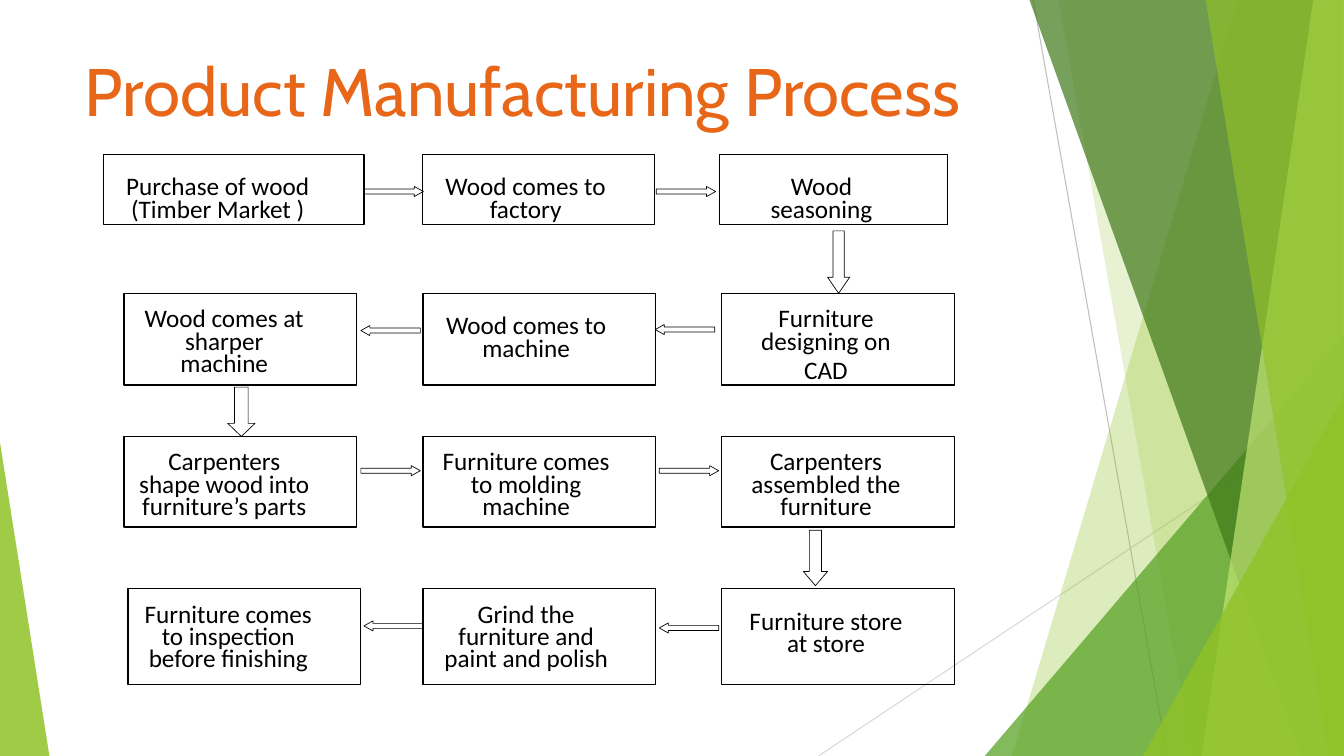
from typing import NamedTuple

from lxml import etree
from pptx import Presentation
from pptx.dml.color import RGBColor
from pptx.enum.shapes import MSO_CONNECTOR, MSO_SHAPE
from pptx.enum.text import MSO_ANCHOR, PP_ALIGN
from pptx.oxml.ns import qn
from pptx.util import Inches, Pt

RECT = MSO_SHAPE.RECTANGLE
PEAK = MSO_SHAPE.ISOSCELES_TRIANGLE
RIGHT = MSO_SHAPE.RIGHT_ARROW
LEFT = MSO_SHAPE.LEFT_ARROW
DOWN = MSO_SHAPE.DOWN_ARROW
LINE = MSO_CONNECTOR.STRAIGHT
TOP = MSO_ANCHOR.TOP
MID = PP_ALIGN.CENTER

CELL = Inches(0.01)
COLS, ROWS = 1333, 750
BLACK, LIME = "000000", "90C226"
WIDE = 231
TOPS = (153, 291, 433, 584)
HIGHS = (70, 91, 90, 95)
SHIFTS = (16, 13, 12)


class Ray(NamedTuple):
    start: tuple[int, int]
    end: tuple[int, int]
    color: str


class Facet(NamedTuple):
    points: list[tuple[int, int]]
    color: str
    alpha: int


class Wedge(NamedTuple):
    col: int
    row: int
    wide: int
    high: int
    peak: int
    color: str
    alpha: int


class Step(NamedTuple):
    col: int
    row: int
    lines: list[str]
    move: int = 0
    wide: int = WIDE
    gap: int = 0


class Arrow(NamedTuple):
    kind: MSO_SHAPE
    col: int
    row: int
    wide: int = 59
    high: int = 10
    head: int = 9


RAYS = [
    Ray((1025, 0), (1158, ROWS), "BFBFBF"),
    Ray((COLS, 403), (812, ROWS), "D9D9D9"),
]


def facet(top: int, low: int, color: str, alpha: int) -> Facet:
    return Facet([(top, -1), (COLS, -1), (COLS, ROWS), (low, ROWS)], color, alpha)


DECOR = [
    facet(1228, 1004, LIME, 30),
    facet(1050, 1183, LIME, 20),
    Wedge(977, 333, 356, 417, 1, "54A021", 72),
    facet(1021, 1291, "3F7819", 70),
    facet(1303, 1192, "C0E474", 70),
    facet(1196, 1318, LIME, 65),
    Wedge(1134, 393, 199, 357, 1, LIME, 80),
    Wedge(0, 439, 49, 311, 0, LIME, 85),
]

STEPS = [
    Step(0, 0, ["Purchase of wood", "(Timber Market )"], -20, 258),
    Step(1, 0, ["Wood comes to", "factory"], 0, 230),
    Step(2, 0, ["Wood", "seasoning"], -2, 226),
    Step(2, 1, ["Furniture", "designing on", "CAD"], gap=5),
    Step(1, 1, ["Wood comes to", "machine"]),
    Step(0, 1, ["Wood comes at", "sharper", "machine"]),
    Step(0, 2, ["Carpenters", "shape wood into", "furniture’s parts"]),
    Step(1, 2, ["Furniture comes", "to molding", "machine"]),
    Step(2, 2, ["Carpenters", "assembled the", "furniture"]),
    Step(2, 3, ["Furniture store", "at store"]),
    Step(1, 3, ["Grind the", "furniture and", "paint and polish"]),
    Step(0, 3, ["Furniture comes", "to inspection", "before finishing"], 4),
]

ARROWS = [
    Arrow(RIGHT, 361, 185),
    Arrow(RIGHT, 651, 185),
    Arrow(DOWN, 821, 229, 22, 62, 16),
    Arrow(LEFT, 650, 322),
    Arrow(LEFT, 358, 323),
    Arrow(DOWN, 226, 384, 27, 49, 13),
    Arrow(RIGHT, 358, 462),
    Arrow(RIGHT, 654, 462),
    Arrow(DOWN, 797, 526, 24, 55, 14),
    Arrow(LEFT, 654, 618),
    Arrow(LEFT, 361, 616),
]


def cells(*spans: float) -> list[int]:
    return [round(span * CELL) for span in spans]


def paint(target, color: str) -> None:
    target.solid()
    target.fore_color.rgb = RGBColor.from_string(color)


def outline(shape, width: float) -> None:
    shape.shadow.inherit = False
    shape.fill.background()
    paint(shape.line.fill, BLACK)
    shape.line.width = Pt(width)


def draw_ray(shapes, ray: Ray) -> None:
    line = shapes.add_connector(LINE, *cells(*ray.start, *ray.end))
    paint(line.line.fill, ray.color)
    line.line.width = Pt(0.75)
    etree.SubElement(line._element.spPr, qn("a:effectLst"))


def draw_decor(shapes, item: Facet | Wedge) -> None:
    if isinstance(item, Wedge):
        shape = shapes.add_shape(PEAK, *cells(*item[:4]))
        shape.adjustments[0] = item.peak
    else:
        form = shapes.build_freeform(*item.points[0], scale=CELL)
        form.add_line_segments(item.points[1:])
        shape = form.convert_to_shape()
    shape.shadow.inherit = False
    paint(shape.fill, item.color)
    shape.line.fill.background()
    tint = next(shape._element.spPr.iter(qn("a:srgbClr")))
    etree.SubElement(tint, qn("a:alpha"), val=str(item.alpha * 1000))


def draw_title(shapes, text: str) -> None:
    box = shapes.add_textbox(*cells(74, 44, 940, 139))
    box.text_frame.word_wrap = True
    line = box.text_frame.paragraphs[0]
    line.text = text
    line.font.name = "Cabin"
    line.font.size = Pt(48)
    paint(line.font.fill, "E76618")


def draw_step(shapes, step: Step) -> None:
    left = 123 + 296.5 * step.col + step.move
    spot = cells(left, TOPS[step.row], step.wide, HIGHS[step.row])
    box = shapes.add_shape(RECT, *spot)
    outline(box, 0.96)
    frame = box.text_frame
    frame.word_wrap = True
    frame.vertical_anchor = TOP
    frame.margin_left = frame.margin_bottom = 0
    frame.margin_right = 2 * SHIFTS[step.col] * CELL
    frame.margin_top = (24 if len(step.lines) == 2 else 17) * CELL
    for rank, text in enumerate(step.lines):
        line = frame.add_paragraph() if rank else frame.paragraphs[0]
        line.text = text
        line.alignment = MID
        line.line_spacing = Pt(16)
        line.font.name = "Calibri"
        line.font.size = Pt(18)
        paint(line.font.fill, BLACK)
    if step.gap:
        line.space_before = Pt(step.gap)


def draw_arrow(shapes, arrow: Arrow) -> None:
    shape = shapes.add_shape(arrow.kind, *cells(*arrow[1:5]))
    shape.adjustments[0] = 0.5
    shape.adjustments[1] = arrow.head / min(arrow.wide, arrow.high)
    outline(shape, 0.48)


def main() -> None:
    deck = Presentation()
    deck.slide_width, deck.slide_height = Inches(40 / 3), Inches(7.5)
    shapes = deck.slides.add_slide(deck.slide_layouts[6]).shapes
    for ray in RAYS:
        draw_ray(shapes, ray)
    for item in DECOR:
        draw_decor(shapes, item)
    draw_title(shapes, "Product Manufacturing Process")
    for step in STEPS:
        draw_step(shapes, step)
    for arrow in ARROWS:
        draw_arrow(shapes, arrow)
    deck.save("out.pptx")


if __name__ == "__main__":
    main()
